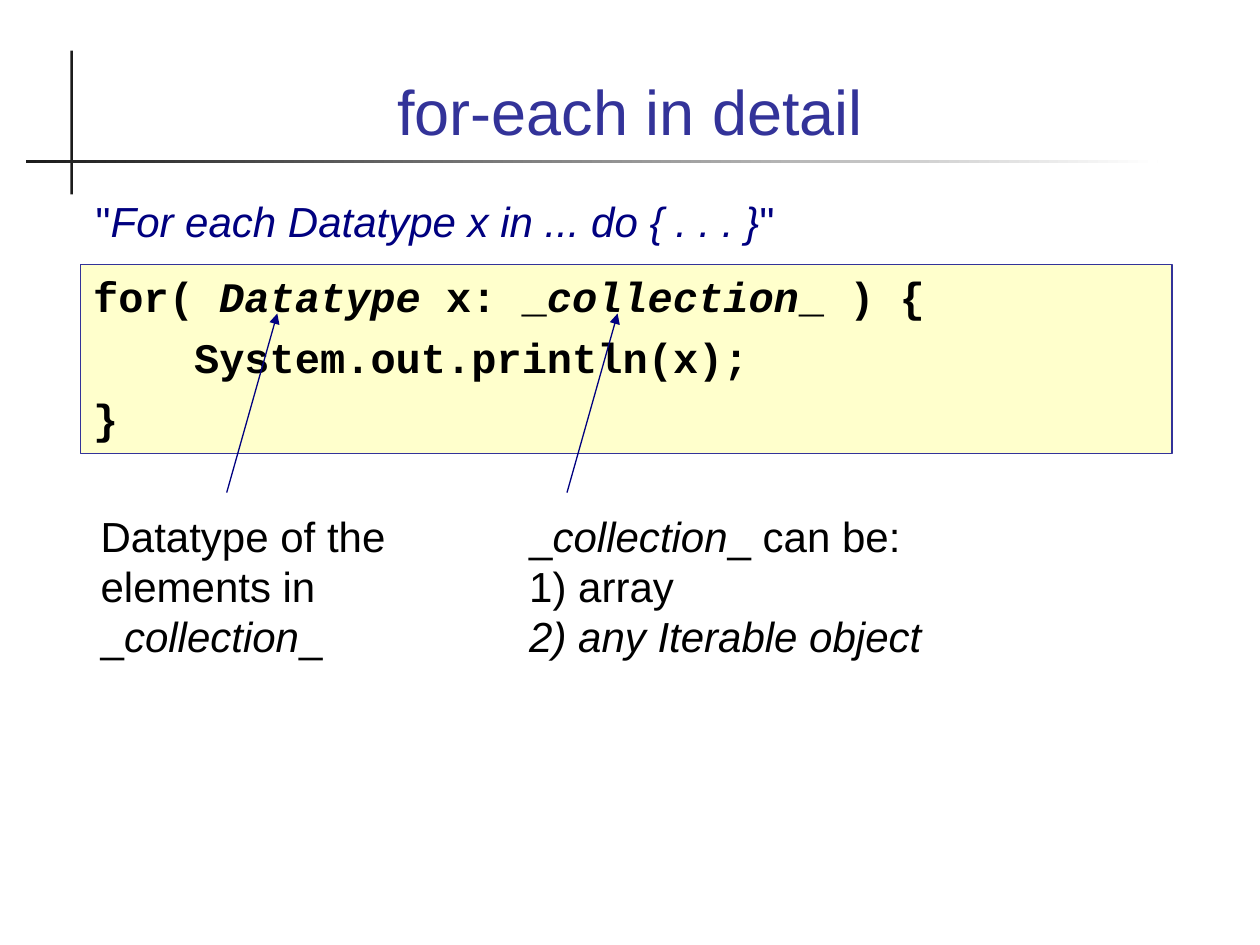
from lxml import etree
from pptx import Presentation
from pptx.dml.color import RGBColor
from pptx.enum.shapes import MSO_CONNECTOR, MSO_SHAPE
from pptx.enum.text import MSO_ANCHOR, PP_ALIGN
from pptx.oxml.ns import qn
from pptx.util import Cm, Pt

RECTANGLE = MSO_SHAPE.RECTANGLE
STRAIGHT = MSO_CONNECTOR.STRAIGHT
TOP, BOTTOM = MSO_ANCHOR.TOP, MSO_ANCHOR.BOTTOM
LEFT, CENTER = PP_ALIGN.LEFT, PP_ALIGN.CENTER

WHITE = RGBColor(0xFF, 0xFF, 0xFF)
BLACK = RGBColor(0x00, 0x00, 0x00)
CHARCOAL = RGBColor(0x1C, 0x1C, 0x1C)
INDIGO = RGBColor(0x33, 0x33, 0x99)
NAVY = RGBColor(0x00, 0x00, 0x80)
CREAM = RGBColor(0xFF, 0xFF, 0xCC)

# Each paragraph is a list of (text, italic) spans
SENTENCE = [[('"', False), ("For each Datatype x in ... do { . . . }", True), ('"', False)]]
CODE = [
    [("for( ", False), ("Datatype", True), (" x: _", False),
     ("collection", True), ("_ ) {", False)],
    [("    System.out.println(x);", False)],
    [("}", False)],
]
DATATYPE_NOTE = [[("Datatype of the elements in _", False), ("collection", True), ("_", False)]]
COLLECTION_NOTE = [
    [("_", False), ("collection", True), ("_ can be:", False)],
    [("1) array", False)],
    [("2) any Iterable object", True)],
]


def write_text(frame, paragraphs, color, font="Arial", size=24, bold=False,
               align=LEFT, anchor=TOP, gap=0):
    frame.word_wrap = True
    frame.vertical_anchor = anchor
    for index, spans in enumerate(paragraphs):
        para = frame.paragraphs[0] if index == 0 else frame.add_paragraph()
        para.alignment = align
        para.space_before = Pt(gap if index else 0)
        for text, italic in spans:
            span = para.add_run()
            span.text = text
            span.font.name = font
            span.font.size = Pt(size)
            span.font.bold = bold
            span.font.italic = italic
            span.font.color.rgb = color


def add_text(page, left, top, width, height, paragraphs, color, **style):
    box = page.shapes.add_textbox(Cm(left), Cm(top), Cm(width), Cm(height))
    write_text(box.text_frame, paragraphs, color, **style)


def add_panel(page, left, top, width, height, color):
    panel = page.shapes.add_shape(RECTANGLE, Cm(left), Cm(top), Cm(width), Cm(height))
    panel.shadow.inherit = False
    panel.fill.solid()
    panel.fill.fore_color.rgb = color
    panel.line.fill.background()
    return panel


def add_arrow(page, left, top, width, height):
    """Arrow from the bottom left to the top right of its box."""
    arrow = page.shapes.add_connector(
        STRAIGHT, Cm(left), Cm(top + height), Cm(left + width), Cm(top))
    arrow.line.color.rgb = NAVY
    arrow.line.width = Pt(0.75)
    etree.SubElement(arrow.line._get_or_add_ln(), qn("a:tailEnd"), type="triangle")
    etree.SubElement(arrow._element.spPr, qn("a:effectLst"))


def add_header(page, left, top, width, height):
    # Crossing rules: a solid upright and a fading horizontal
    add_panel(page, left + 0.89, top, 0.05, height, CHARCOAL)
    rule = add_panel(page, left, top + 2.21, width, 0.05, CHARCOAL)
    rule.fill.gradient()
    rule.fill.gradient_angle = 0
    for stop, color in zip(rule.fill.gradient_stops, (CHARCOAL, WHITE)):
        stop.color.rgb = color
    # Title
    add_text(page, left + 1.17, top - 0.31, 22, 2.41, [[("for-each in detail", False)]],
             INDIGO, size=36, align=CENTER, anchor=BOTTOM)


def add_code(page, left, top, width, height):
    # Sentence that reads the loop aloud
    add_text(page, left + 0.05, top - 1.52, width + 0.1, 1.27, SENTENCE, NAVY)
    # Code panel
    panel = add_panel(page, left, top, width, height, CREAM)
    panel.line.color.rgb = INDIGO
    panel.line.width = Pt(0.75)
    write_text(panel.text_frame, CODE, BLACK, font="Courier New", bold=True, gap=6)


def add_notes(page, left, top):
    # Arrows up to the two parts of the loop head
    for offset in (2.79, 9.65):
        add_arrow(page, left + offset, top - 3.84, 1.02, 3.61)
    # Explanations
    add_text(page, left, top, 7.37, 3.3, DATATYPE_NOTE, BLACK)
    add_text(page, left + 8.64, top, 10.41, 5.84, COLLECTION_NOTE, BLACK)


def main():
    deck = Presentation()
    deck.slide_width, deck.slide_height = Cm(25.4), Cm(19.05)
    page = deck.slides.add_slide(deck.slide_layouts[6])
    add_header(page, 0.53, 1.02, 22.81, 2.9)
    add_code(page, 1.63, 5.33, 22, 3.81)
    add_notes(page, 1.78, 10.16)
    deck.save("out.pptx")


if __name__ == "__main__":
    main()
